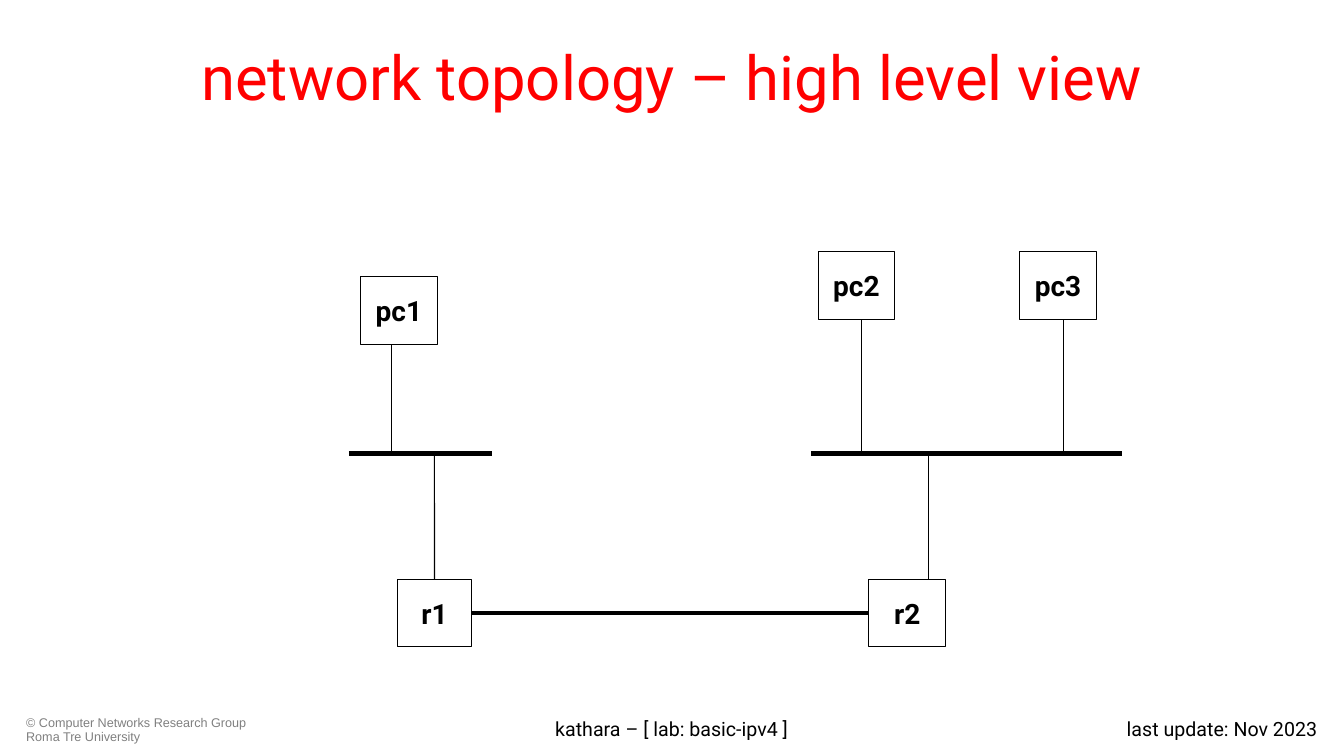
from pptx import Presentation
from pptx.util import Cm, Pt
from pptx.dml.color import RGBColor
from pptx.enum.shapes import MSO_SHAPE, MSO_CONNECTOR
from pptx.enum.text import PP_ALIGN, MSO_ANCHOR
from pptx.oxml.ns import qn
from lxml.etree import SubElement

HUES = {"ink": "000000", "paper": "FFFFFF", "title": "FF0000", "note": "808080"}

TEXTS = [
    ("© Computer Networks Research Group Roma Tre University",
     (0.41, 17.93, 6.32, 0.91), 9, "Arial", "note", PP_ALIGN.LEFT, MSO_ANCHOR.TOP, 0.9),
    ("network topology – high level view",
     (1.7, 0.33, 30.48, 3.18), 44, "Roboto", "title", PP_ALIGN.CENTER, MSO_ANCHOR.MIDDLE, 1),
    ("last update: Nov 2023",
     (25.73, 17.93, 7.72, 0.91), 14, "Roboto", "ink", PP_ALIGN.RIGHT, MSO_ANCHOR.TOP, 1),
    ("kathara – [ lab: basic-ipv4 ]",
     (8.66, 17.93, 16.54, 0.91), 14, "Roboto", "ink", PP_ALIGN.CENTER, MSO_ANCHOR.TOP, 1),
]

NODES = {
    "pc1": (9.09, 6.98, 1.93),
    "pc2": (20.62, 6.35, 1.93),
    "pc3": (25.7, 6.35, 1.93),
    "r1": (10.01, 14.6, 1.88),
    "r2": (21.9, 14.6, 1.93),
}
TALL = 1.7

LAN_Y = 11.43
LANS = [(8.79, 12.4), (20.45, 28.27)]
HOSTS = {"pc1": 9.86, "pc2": 21.72, "pc3": 26.8}
GATES = {"r1": 10.95, "r2": 23.39}
THIN, THICK = 0.75, 3


def hue(name):
    return RGBColor.from_string(HUES[name])


def style(par, size, face, tint, align, bold=False):
    par.alignment = align
    for run in par.runs:
        run.font.size = Pt(size)
        run.font.name = face
        run.font.bold = bold
        run.font.color.rgb = hue(tint)


def add_text(slide, words, place, size, face, tint, align, anchor, space):
    frame = slide.shapes.add_textbox(*map(Cm, place)).text_frame
    frame.word_wrap = True
    frame.vertical_anchor = anchor
    frame.text = words
    par = frame.paragraphs[0]
    par.line_spacing = space
    style(par, size, face, tint, align)


def add_node(slide, name, left, top, wide):
    box = slide.shapes.add_shape(MSO_SHAPE.RECTANGLE, *map(Cm, (left, top, wide, TALL)))
    box.shadow.inherit = False
    box.fill.solid()
    box.fill.fore_color.rgb = hue("paper")
    box.line.color.rgb = hue("ink")
    box.line.width = Pt(THIN)
    frame = box.text_frame
    frame.word_wrap = False
    frame.vertical_anchor = MSO_ANCHOR.MIDDLE
    frame.text = name
    style(frame.paragraphs[0], 20, "Roboto", "ink", PP_ALIGN.CENTER, True)
    return box


def add_line(slide, x1, y1, x2, y2, width):
    line = slide.shapes.add_connector(MSO_CONNECTOR.STRAIGHT, *map(Cm, (x1, y1, x2, y2)))
    line.line.color.rgb = hue("ink")
    line.line.width = Pt(width)
    SubElement(line._element.spPr, qn("a:effectLst"))
    return line


def main():
    deck = Presentation()
    deck.slide_width, deck.slide_height = Cm(33.87), Cm(19.05)
    slide = deck.slides.add_slide(deck.slide_layouts[6])

    for item in TEXTS:
        add_text(slide, *item)
    boxes = {name: add_node(slide, name, *place) for name, place in NODES.items()}

    for start, end in LANS:
        add_line(slide, start, LAN_Y, end, LAN_Y, THICK)
    for name, x in HOSTS.items():
        add_line(slide, x, NODES[name][1] + TALL, x, LAN_Y, THIN)
    drops = {name: add_line(slide, x, LAN_Y, x, NODES[name][1], THIN)
             for name, x in GATES.items()}
    drops["r1"].end_connect(boxes["r1"], 0)

    left, top, wide = NODES["r1"]
    mid = top + TALL / 2
    link = add_line(slide, left + wide, mid, NODES["r2"][0], mid, THICK)
    link.begin_connect(boxes["r1"], 3)
    link.end_connect(boxes["r2"], 1)

    deck.save("out.pptx")


if __name__ == "__main__":
    main()
